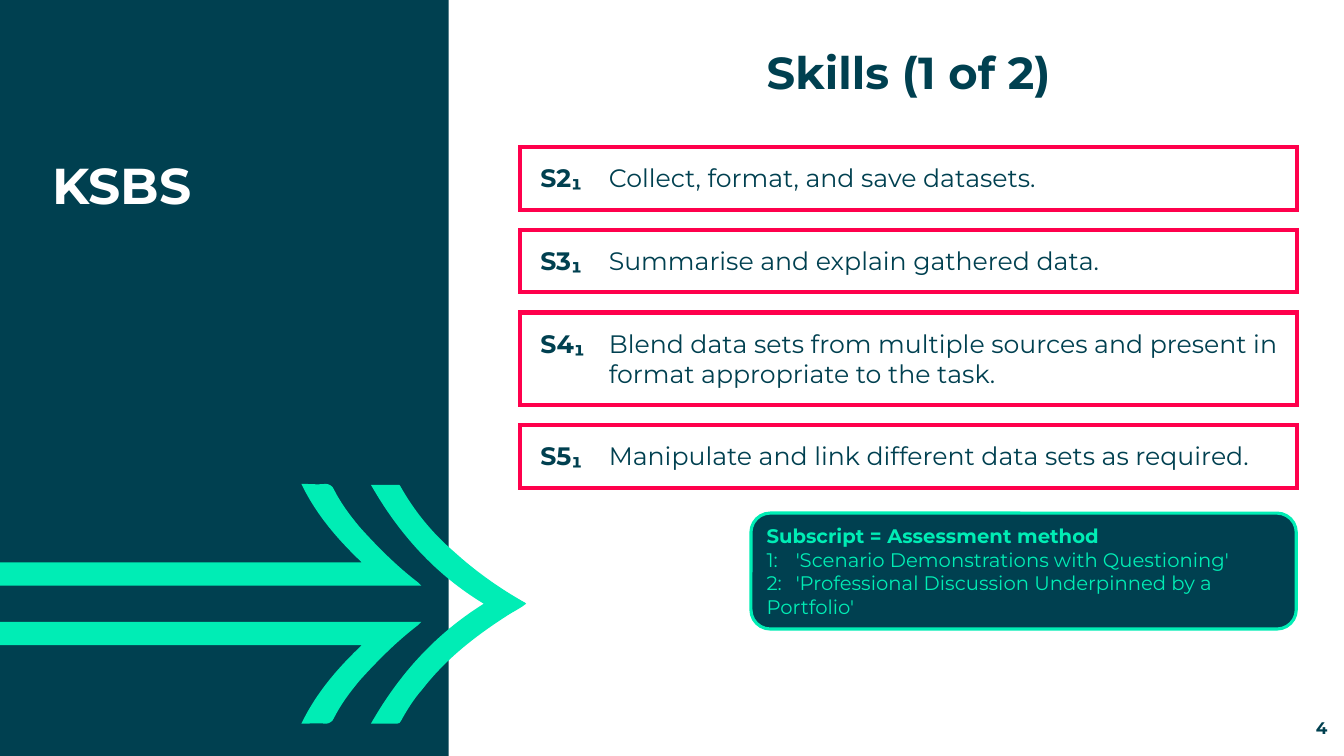
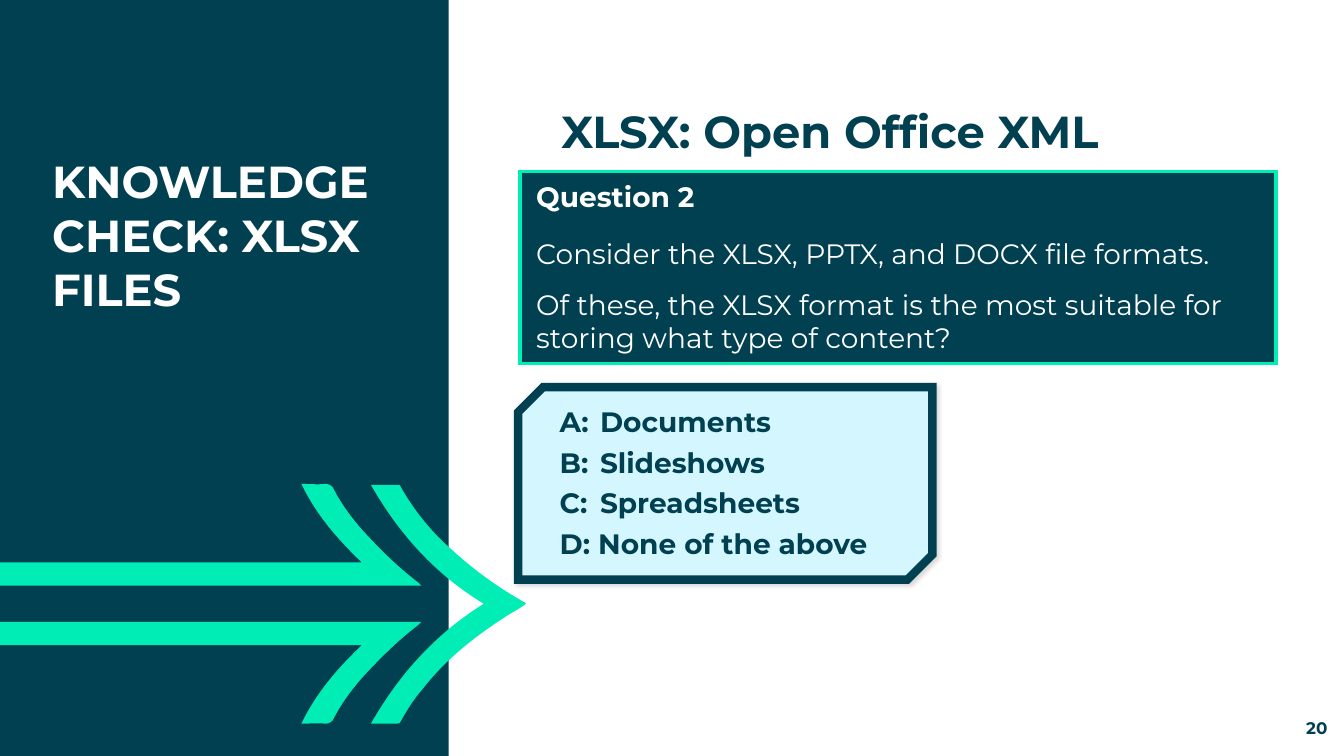
from dataclasses import dataclass

from lxml import etree
from pptx import Presentation
from pptx import util as u
from pptx.dml.color import RGBColor
from pptx.enum import shapes, text
from pptx.oxml import ns

Inches, Pt = u.Inches, u.Pt
Shape, Anchor, Align = shapes.MSO_SHAPE, text.MSO_ANCHOR, text.PP_ALIGN


@dataclass(frozen=True)
class Theme:
    font: str = "Montserrat"
    navy: str = "004050"
    mint: str = "00EDB5"
    pink: str = "FF004C"
    ice: str = "D4F6FF"
    white: str = "FFFFFF"
    black: str = "000000"
    section: int = 36
    title: int = 32
    question: int = 20
    skill: int = 18
    legend: int = 14
    number: int = 12


THEME = Theme()
CONTENT_LEFT = 5.16
CONTENT_WIDTH = 7.71
PANEL_INSETS = (0.1, 0.05, 0.1, 0.05)
ARROW_MIDDLE = 5.99
UNITS_PER_INCH = 100

ARROW_ARM = [
    [(4.18, 5.81)],
    [(-0.62, 5.81)],
    [(-0.62, 5.58)],
    [(3.59, 5.58)],
    [(3.35, 5.35), (3.14, 5.11), (2.99, 4.8)],
    [(3.07, 4.8), (3.15, 4.81), (3.23, 4.8)],
    [(3.26, 4.8), (3.3, 4.82), (3.31, 4.85)],
    [(3.38, 4.99), (3.47, 5.11), (3.57, 5.23)],
    [(3.75, 5.43), (3.94, 5.62), (4.15, 5.78)],
]
ARROW_TIP = [
    [(4.8, 5.99)],
    [(4.32, 5.7), (3.96, 5.3), (3.68, 4.81)],
    [(3.94, 4.81)],
    [(3.96, 4.81), (3.97, 4.81), (3.97, 4.82)],
    [(4.11, 5.07), (4.29, 5.29), (4.5, 5.47)],
    [(4.72, 5.67), (4.96, 5.84), (5.21, 5.98)],
    [(5.22, 5.99)],
    [(5.17, 6.03), (5.11, 6.06), (5.06, 6.09)],
    [(4.73, 6.3), (4.43, 6.53), (4.19, 6.84)],
    [(4.11, 6.93), (4.04, 7.04), (3.98, 7.15)],
    [(3.97, 7.17), (3.96, 7.18), (3.94, 7.18)],
    [(3.68, 7.18)],
    [(3.96, 6.69), (4.32, 6.29), (4.8, 5.99)],
]


def color(value):
    return RGBColor.from_string(value)


def add_child(parent, tag, **attributes):
    child = etree.SubElement(parent, ns.qn(tag))
    for name, value in attributes.items():
        child.set(name, str(value))
    return child


def paint(shape, fill):
    shape.shadow.inherit = False
    shape.fill.solid()
    shape.fill.fore_color.rgb = color(fill)
    shape.line.fill.background()


def style_paragraph(para, size, ink, bold=None, after=0):
    para.font.name = THEME.font
    para.font.size = Pt(size)
    para.font.color.rgb = color(ink)
    para.font.bold = bold
    para.space_after = Pt(after)


def set_hanging(para, left, hang):
    properties = para._p.get_or_add_pPr()
    properties.set("marL", str(Inches(left)))
    properties.set("indent", str(-Inches(hang)))


def set_tab(para, position):
    properties = para._p.get_or_add_pPr()
    stops = etree.Element(ns.qn("a:tabLst"))
    add_child(stops, "a:tab", pos=Inches(position), algn="l")
    properties.find(ns.qn("a:defRPr")).addprevious(stops)


def add_paragraph(frame, spans, size, ink, after=0):
    para = frame.paragraphs[0]
    if para.runs:
        para = frame.add_paragraph()
    weights = {bold for _, bold in spans}
    agreed = weights.pop() if len(weights) == 1 else None
    style_paragraph(para, size, ink, agreed, after)
    para.alignment = Align.LEFT
    for words, bold in spans:
        span = para.add_run()
        span.text = words
        if agreed is None:
            span.font.bold = bold
    return para


def set_frame(box, anchor, insets):
    frame = box.text_frame
    frame.word_wrap = True
    frame.vertical_anchor = anchor
    (frame.margin_left, frame.margin_top,
     frame.margin_right, frame.margin_bottom) = map(Inches, insets)
    return frame


def add_label(page, place, words, size, ink, anchor=Anchor.TOP, insets=PANEL_INSETS):
    box = page.shapes.add_textbox(*map(Inches, place))
    frame = set_frame(box, anchor, insets)
    return add_paragraph(frame, [(words, True)], size, ink)


def add_panel(page, kind, place, fill, line, width, insets=PANEL_INSETS, anchor=Anchor.TOP):
    panel = page.shapes.add_shape(kind, *map(Inches, place))
    paint(panel, fill)
    panel.line.color.rgb = color(line)
    panel.line.width = Pt(width)
    add_child(panel.line._get_or_add_ln(), "a:miter", lim=800000)
    frame = set_frame(panel, anchor, insets)
    frame.auto_size = text.MSO_AUTO_SIZE.SHAPE_TO_FIT_TEXT
    return panel


def add_soft_shadow(panel):
    effects = panel._element.spPr.find(ns.qn("a:effectLst"))
    shadow = add_child(effects, "a:outerShdw", blurRad=Pt(3), dist=Pt(2),
                       dir=45 * 60000, algn="tl", rotWithShape=0)
    ink = add_child(shadow, "a:srgbClr", val=THEME.black)
    add_child(ink, "a:alpha", val=15000)


def mirror(segments):
    return [[(x, 2 * ARROW_MIDDLE - y) for x, y in segment] for segment in segments]


def add_outline(page, segments):
    points = [(round(x * UNITS_PER_INCH), round(y * UNITS_PER_INCH))
              for segment in segments for x, y in segment]
    builder = page.shapes.build_freeform(*points[0], scale=Inches(1) / UNITS_PER_INCH)
    builder.add_line_segments(points[1:], close=True)
    outline = builder.convert_to_shape()
    paint(outline, THEME.mint)
    steps = iter(list(outline._element.iter(ns.qn("a:lnTo"))))
    for segment in segments[1:]:
        group = [next(steps) for _ in segment]
        if len(group) == 3:
            bend = etree.Element(ns.qn("a:cubicBezTo"))
            group[0].addprevious(bend)
            for step in group:
                bend.append(step[0])
                step.getparent().remove(step)


def add_page(deck, section, section_size, title, title_place, number):
    page = deck.slides.add_slide(deck.slide_layouts[6])
    band = page.shapes.add_shape(Shape.RECTANGLE, 0, 0, Inches(4.45), deck.slide_height)
    paint(band, THEME.navy)
    for segments in (ARROW_ARM, ARROW_TIP, mirror(ARROW_ARM)):
        add_outline(page, segments)
    add_label(page, (0.42, 1.48, 3.77, 3.01), section, section_size, THEME.white)
    heading = add_label(page, (*title_place, CONTENT_WIDTH, 1.16), title,
                        THEME.title, THEME.navy, Anchor.MIDDLE)
    heading.alignment = Align.CENTER
    heading.line_spacing = Pt(42)
    footer = add_label(page, (12.31, 7.12, 0.86, 0.2), number, THEME.number,
                       THEME.navy, Anchor.BOTTOM, (0, 0, 0, 0))
    footer.alignment = Align.RIGHT
    return page


def add_skills(page, skills):
    top = 1.46
    for code, words, height in skills:
        panel = add_panel(page, Shape.RECTANGLE, (CONTENT_LEFT, top, CONTENT_WIDTH, height),
                          THEME.white, THEME.pink, 3, (0.2, 0.16, 0.16, 0.16))
        para = add_paragraph(panel.text_frame, [(code + "\t", True), (words, False)],
                             THEME.skill, THEME.navy)
        set_hanging(para, 0.68, 0.68)
        top += height + 0.2


def add_legend(page, heading, methods):
    panel = add_panel(page, Shape.ROUNDED_RECTANGLE, (7.45, 5.09, 5.41, 1.15),
                      THEME.navy, THEME.mint, 2.25, anchor=Anchor.BOTTOM)
    add_paragraph(panel.text_frame, [(heading, True)], THEME.legend, THEME.mint)
    for key, method in methods:
        para = add_paragraph(panel.text_frame, [(f"{key}:\t{method}", False)],
                             THEME.legend, THEME.mint)
        set_tab(para, 0.29)


def add_question(page, heading, lines):
    panel = add_panel(page, Shape.RECTANGLE, (CONTENT_LEFT, 1.7, 7.5, 1.91),
                      THEME.navy, THEME.mint, 2.25, (0.16, 0.08, 0.16, 0.08))
    frame = panel.text_frame
    add_paragraph(frame, [(heading, True)], THEME.question, THEME.white, 17)
    for line in lines:
        add_paragraph(frame, [(line, False)], THEME.question, THEME.white, 12)


def add_answers(page, answers):
    panel = add_panel(page, Shape.SNIP_2_DIAG_RECTANGLE, (5.14, 3.84, 4.11, 1.91),
                      THEME.ice, THEME.navy, 6)
    panel.adjustments[0], panel.adjustments[1] = 0.13, 0
    add_soft_shadow(panel)
    for answer in answers:
        para = add_paragraph(panel.text_frame, [(answer, True)],
                             THEME.question, THEME.navy, 5)
        set_hanging(para, 0.59, 0.4)


def main():
    deck = Presentation()
    deck.slide_height = Inches(7.5)
    deck.slide_width = deck.slide_height * 16 // 9

    page = add_page(deck, "KSBS", THEME.section, "Skills (1 of 2)", (CONTENT_LEFT, 0.11), "4")
    add_skills(page, [
        ("S2₁", "Collect, format, and save datasets.", 0.62),
        ("S3₁", "Summarise and explain gathered data.", 0.62),
        ("S4₁", "Blend data sets from multiple sources and present in "
                "format appropriate to the task.", 0.92),
        ("S5₁", "Manipulate and link different data sets as required.", 0.62),
    ])
    add_legend(page, "Subscript = Assessment method", [
        (1, "'Scenario Demonstrations with Questioning'"),
        (2, "'Professional Discussion Underpinned by a Portfolio'"),
    ])

    page = add_page(deck, "KNOWLEDGE CHECK: XLSX FILES", THEME.title,
                    "XLSX: Open Office XML", (4.38, 0.69), "20")
    add_question(page, "Question 2", [
        "Consider the XLSX, PPTX, and DOCX file formats.",
        "Of these, the XLSX format is the most suitable for storing what type of content?",
    ])
    add_answers(page, ["A:\tDocuments", "B:\tSlideshows", "C:\tSpreadsheets",
                       "D: None of the above"])

    deck.save("out.pptx")


if __name__ == "__main__":
    main()
